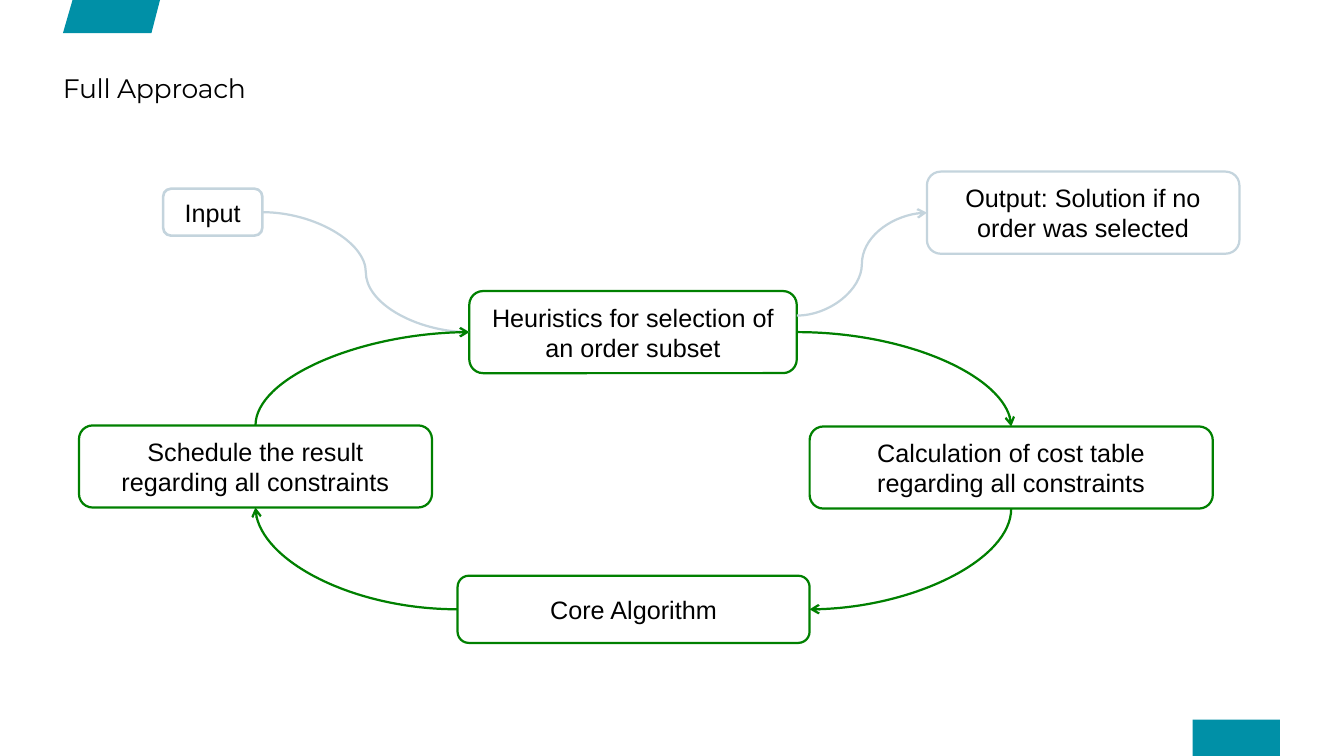
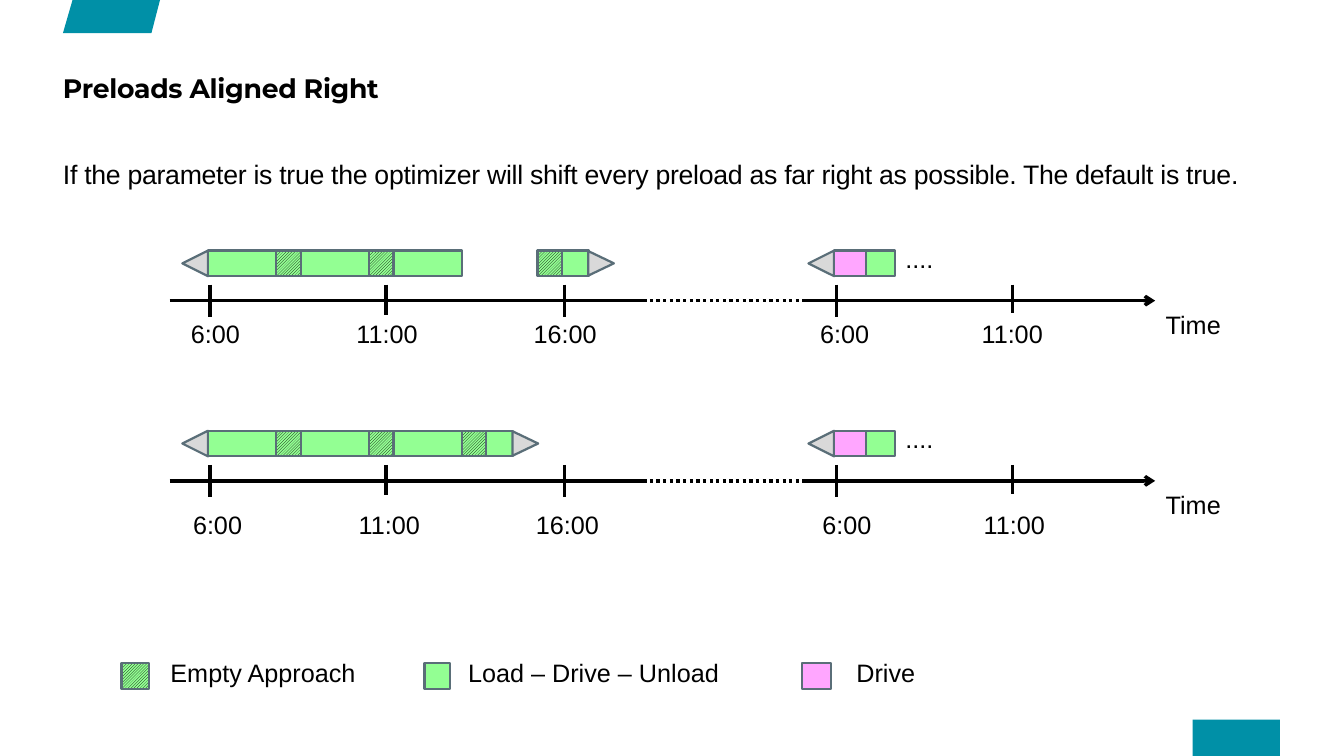
from dataclasses import dataclass

import lxml.etree
import pptx
import pptx.dml.color
import pptx.enum.dml
import pptx.enum.shapes
import pptx.enum.text
import pptx.oxml.ns
import pptx.util

Inches = pptx.util.Inches
Pt = pptx.util.Pt
qn = pptx.oxml.ns.qn
SHAPE = pptx.enum.shapes.MSO_SHAPE
CONNECTOR = pptx.enum.shapes.MSO_CONNECTOR
ALIGN = pptx.enum.text.PP_ALIGN
ANCHOR = pptx.enum.text.MSO_ANCHOR
TOP, LEFT, BOTTOM, RIGHT = range(4)


@dataclass(frozen=True)
class Theme:
    brand: str = "0090A7"
    ink: str = "000000"
    outside: str = "C4D4DD"
    cycle: str = "008000"
    outline: str = "5A6E78"
    load: str = "93FF93"
    drive: str = "FFA6FF"
    tip: str = "D9D9D9"
    title_font: str = "Montserrat"
    text_font: str = "Arial"
    heading_size: float = 18
    label_size: float = 17
    thin: float = 1.5
    axis: float = 2.25


def rgb(color):
    return pptx.dml.color.RGBColor.from_string(color)


def inches(*lengths):
    return [Inches(length) for length in lengths]


class Deck:
    def __init__(self, theme):
        self.theme = theme
        self.prs = pptx.Presentation()
        self.prs.slide_width, self.prs.slide_height = inches(12.6, 7.09)
        self.slide = None

    def add_slide(self, title, layout, bold=False):
        first = self.slide is None
        self.slide = self.prs.slides.add_slide(self.prs.slide_layouts[layout])
        if first:
            self.brand_master()
        self.fill_placeholder(0, title, (0.59, 0.67, 7.6, 0.67),
                              self.theme.title_font, ALIGN.LEFT, bold)

    def brand_master(self):
        """Draw the bands once and move them to the slide master."""
        corners = [inches(x, y) for x, y in ((0.68, 0), (0.59, 0.31), (1.42, 0.31), (1.5, 0))]
        builder = self.slide.shapes.build_freeform(*corners[0])
        builder.add_line_segments(corners[1:], close=True)
        header = builder.convert_to_shape()
        footer = self.slide.shapes.add_shape(SHAPE.RECTANGLE, *inches(11.18, 6.75, 0.82, 0.34))
        for band in (header, footer):
            band.shadow.inherit = False
            band.fill.solid()
            band.fill.fore_color.rgb = rgb(self.theme.brand)
            band.line.fill.background()
            self.prs.slide_master.shapes._spTree.append(band._element)

    def add_text(self, paragraph, text, size, font, align, bold=False):
        paragraph.alignment = align
        run = paragraph.add_run()
        run.text = text
        run.font.size = Pt(size)
        run.font.name = font
        run.font.bold = bold
        run.font.color.rgb = rgb(self.theme.ink)
        return run

    def fill_placeholder(self, index, text, box, font, align, bold=False):
        holder = self.slide.placeholders[index]
        holder.left, holder.top, holder.width, holder.height = inches(*box)
        frame = holder.text_frame
        frame.margin_left = frame.margin_top = frame.margin_right = frame.margin_bottom = 0
        frame.vertical_anchor = ANCHOR.TOP
        frame.auto_size = pptx.enum.text.MSO_AUTO_SIZE.NONE
        paragraph = frame.paragraphs[0]
        paragraph.space_before = Pt(0)
        properties = paragraph._p.get_or_add_pPr()
        properties.set("marL", "0")
        properties.set("indent", "0")
        lxml.etree.SubElement(properties, qn("a:buNone"))
        run = self.add_text(paragraph, text, self.theme.heading_size, font, align, bold)
        run._r.get_or_add_rPr().set("spc", "-20")

    def label(self, text, left, top, width, height=0.44, align=ALIGN.LEFT):
        frame = self.slide.shapes.add_textbox(*inches(left, top, width, height)).text_frame
        frame.word_wrap = True
        self.add_text(frame.paragraphs[0], text, self.theme.label_size,
                      self.theme.text_font, align)

    def step(self, text, box, color, weight=Theme.thin):
        step = self.slide.shapes.add_shape(SHAPE.ROUNDED_RECTANGLE, *inches(*box))
        step.shadow.inherit = False
        step.fill.background()
        step.line.color.rgb = rgb(color)
        step.line.width = Pt(weight)
        frame = step.text_frame
        frame.word_wrap = True
        frame.vertical_anchor = ANCHOR.MIDDLE
        self.add_text(frame.paragraphs[0], text, self.theme.label_size,
                      self.theme.text_font, ALIGN.CENTER)
        return step

    def style_line(self, line, color, weight, arrow=False, dotted=False):
        line.line.color.rgb = rgb(color)
        line.line.width = Pt(weight)
        if dotted:
            line.line.dash_style = pptx.enum.dml.MSO_LINE.ROUND_DOT
        properties = line._element.spPr
        if arrow:
            lxml.etree.SubElement(properties.find(qn("a:ln")), qn("a:tailEnd"), type="arrow")
        lxml.etree.SubElement(properties, qn("a:effectLst"))

    def line(self, start, end, **look):
        line = self.slide.shapes.add_connector(CONNECTOR.STRAIGHT, *inches(*start, *end))
        self.style_line(line, self.theme.ink, self.theme.axis, **look)

    def s_curve(self, target, color, source=None, start=(0, 0)):
        """Lead from a step's right side, or a free point, to a step's left side."""
        curve = self.slide.shapes.add_connector(CONNECTOR.CURVE, *inches(*start, *start))
        if source is not None:
            curve.begin_connect(source, RIGHT)
        curve.end_connect(target, LEFT)
        self.style_line(curve, color, self.theme.thin, arrow=True)

    def quarter_curve(self, source, source_side, target, target_side, color):
        curve = self.slide.shapes.add_connector(CONNECTOR.CURVE, 0, 0, 0, 0)
        curve.begin_connect(source, source_side)
        curve.end_connect(target, target_side)
        properties = curve._element.spPr
        properties.find(qn("a:prstGeom")).set("prst", "curvedConnector2")
        if source_side in (TOP, BOTTOM):
            # The preset leaves sideways, so a vertical start needs a quarter turn.
            mid_x = (curve.begin_x + curve.end_x) // 2
            mid_y = (curve.begin_y + curve.end_y) // 2
            half_x = (curve.end_y - curve.begin_y) // 2
            half_y = (curve.begin_x - curve.end_x) // 2
            curve.begin_x, curve.begin_y = mid_x - half_x, mid_y - half_y
            curve.end_x, curve.end_y = mid_x + half_x, mid_y + half_y
            properties.find(qn("a:xfrm")).set("rot", "5400000")
        self.style_line(curve, color, self.theme.thin, arrow=True)

    def block(self, kind, left, top, width, height=0.24):
        turns = {"start": 270, "end": 90}
        preset = SHAPE.ISOSCELES_TRIANGLE if kind in turns else SHAPE.RECTANGLE
        block = self.slide.shapes.add_shape(preset, *inches(left, top, width, height))
        block.rotation = turns.get(kind, 0)
        block.shadow.inherit = False
        block.line.color.rgb = rgb(self.theme.outline)
        block.line.width = Pt(self.theme.thin)
        if kind == "empty":
            block.fill.patterned()
            block.fill.pattern = pptx.enum.dml.MSO_PATTERN.LIGHT_UPWARD_DIAGONAL
            block.fill.fore_color.rgb = rgb(self.theme.ink)
            block.fill.back_color.rgb = rgb(self.theme.load)
        else:
            colors = {"load": self.theme.load, "drive": self.theme.drive}
            block.fill.solid()
            block.fill.fore_color.rgb = rgb(colors.get(kind, self.theme.tip))

    def tour(self, left, top, blocks):
        """Set blocks of (kind, width) side by side."""
        for kind, width in blocks:
            self.block(kind, left, top, width)
            left += width

    def timeline(self, top, hours_top, hours_shift, tours):
        axis = top + 0.47
        self.line((1.59, axis), (6.03, axis))
        self.line((6.03, axis), (7.52, axis), dotted=True)
        self.line((7.52, axis), (10.83, axis), arrow=True)
        for hour, tick, length, center in HOURS:
            self.line((tick, top + 0.32), (tick, top + 0.32 + length))
            self.label(hour, center - 0.45 + hours_shift, hours_top, 0.9, 0.39, ALIGN.CENTER)
        for left, blocks in tours:
            self.tour(left, top, blocks)
        self.label("....", 8.39, top - 0.12, 1.02)
        self.label("Time", 10.83, axis + 0.03, 1.18)


# Hour, tick position, tick length, label centre
HOURS = (
    ("6:00", 1.97, 0.3, 2.02),
    ("11:00", 3.62, 0.28, 3.63),
    ("16:00", 5.29, 0.3, 5.3),
    ("6:00", 7.84, 0.3, 7.92),
    ("11:00", 9.49, 0.27, 9.49),
)
START, END = ("start", 0.24), ("end", 0.23)
LOAD, EMPTY = ("load", 0.64), ("empty", 0.23)
DAY_TOUR = (START, LOAD, EMPTY, LOAD, EMPTY, LOAD)
PRELOAD = (EMPTY, ("load", 0.25), END)
NEXT_DAY = (START, ("drive", 0.3), ("load", 0.27))


def full_approach(deck):
    deck.add_slide("Full Approach", layout=5)
    outside, cycle = deck.theme.outside, deck.theme.cycle
    output = deck.step("Output: Solution if no order was selected",
                       (8.69, 1.61, 2.93, 0.77), outside)
    start = deck.step("Input", (1.53, 1.77, 0.93, 0.44), outside, 1.75)
    heuristics = deck.step("Heuristics for selection of an order subset",
                           (4.4, 2.73, 3.07, 0.77), cycle)
    schedule = deck.step("Schedule the result regarding all constraints",
                         (0.74, 3.99, 3.31, 0.77), cycle)
    costs = deck.step("Calculation of cost table regarding all constraints",
                      (7.59, 4, 3.78, 0.77), cycle)
    core = deck.step("Core Algorithm", (4.29, 5.4, 3.3, 0.63), cycle)

    deck.s_curve(heuristics, outside, source=start)
    deck.s_curve(output, outside, start=(7.47, 2.96))
    for link in ((heuristics, RIGHT, costs, TOP), (costs, BOTTOM, core, RIGHT),
                 (core, LEFT, schedule, BOTTOM), (schedule, TOP, heuristics, LEFT)):
        deck.quarter_curve(*link, cycle)


def preloads_aligned_right(deck):
    deck.add_slide("Preloads Aligned Right", layout=1, bold=True)
    deck.fill_placeholder(
        1, "If the parameter is true the optimizer will shift every preload as far right "
        "as possible. The default is true.",
        (0.59, 1.48, 11.43, 4.86), deck.theme.text_font, ALIGN.JUSTIFY)
    deck.timeline(2.35, 2.94, 0, ((1.71, DAY_TOUR), (5.04, PRELOAD), (7.58, NEXT_DAY)))
    deck.timeline(4.04, 4.73, 0.02, ((1.71, DAY_TOUR + PRELOAD), (7.58, NEXT_DAY)))
    for kind, meaning, left, width, text_left in (
            ("empty", "Empty Approach", 1.14, 0.26, 1.5),
            ("load", "Load – Drive – Unload", 3.98, 0.24, 4.29),
            ("drive", "Drive", 7.52, 0.27, 7.93)):
        deck.block(kind, left, 6.22, width)
        deck.label(meaning, text_left, 6.12, 2.9)


def main():
    deck = Deck(Theme())
    full_approach(deck)
    preloads_aligned_right(deck)
    deck.prs.save("out.pptx")


if __name__ == "__main__":
    main()
